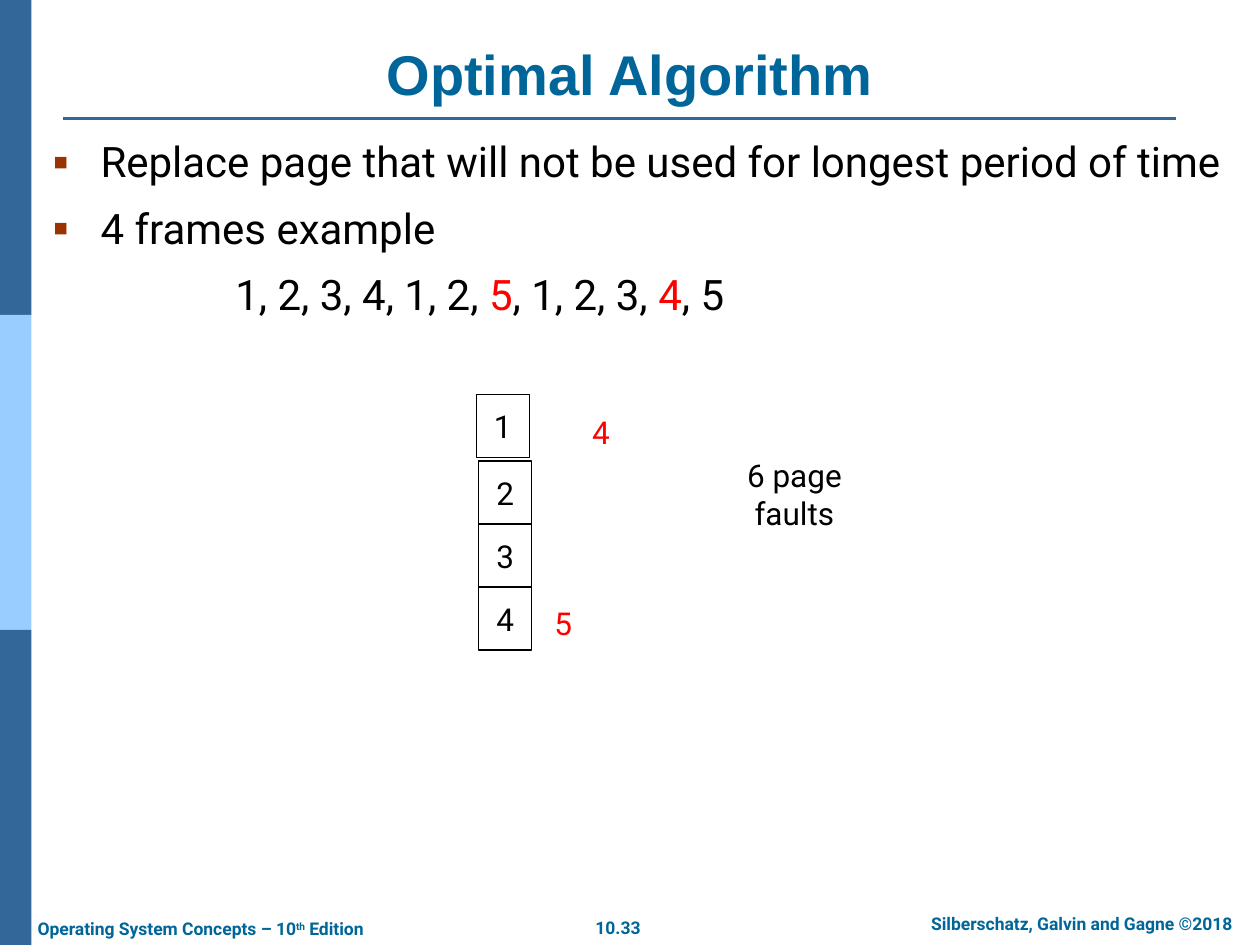
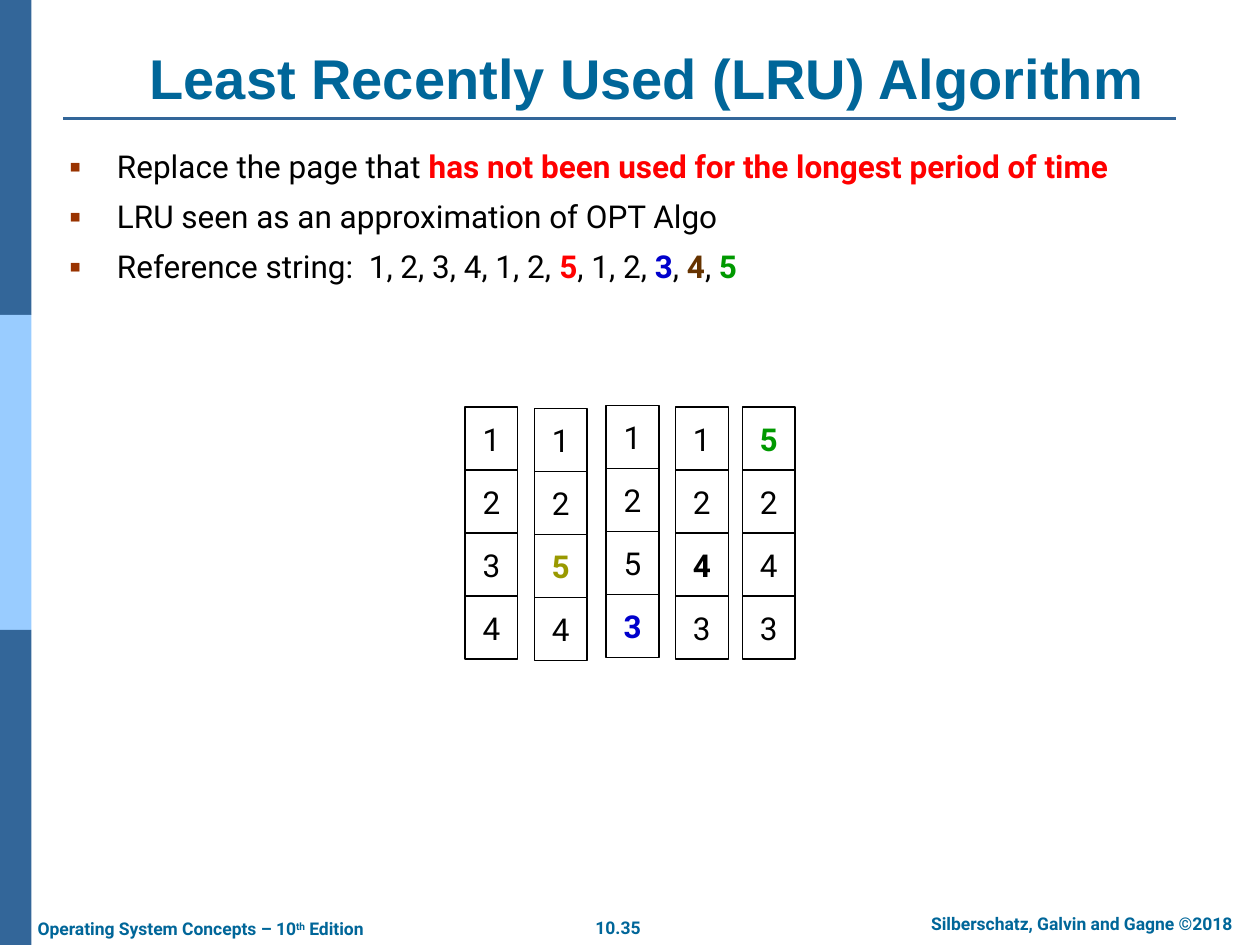
from lxml import etree
from pptx import Presentation
from pptx.dml.color import RGBColor
from pptx.enum.shapes import MSO_CONNECTOR, MSO_SHAPE
from pptx.enum.text import MSO_ANCHOR, PP_ALIGN
from pptx.oxml.ns import qn
from pptx.util import Inches, Pt

LEFT, CENTER = PP_ALIGN.LEFT, PP_ALIGN.CENTER
TOP, MIDDLE, BOTTOM = MSO_ANCHOR.TOP, MSO_ANCHOR.MIDDLE, MSO_ANCHOR.BOTTOM
RECTANGLE, STRAIGHT = MSO_SHAPE.RECTANGLE, MSO_CONNECTOR.STRAIGHT

TITLE_FONT, BODY_FONT = "Arial", "Roboto"
BLACK, WHITE, RED = "000000", "FFFFFF", "FF0000"
TEAL, DARK_BLUE, LIGHT_BLUE = "006699", "336699", "99CCFF"
BLUE, BROWN, GREEN, OLIVE, RUST = "0000CC", "663300", "009900", "999900", "993300"

FRAME_WIDTH, FRAME_HEIGHT = 0.42, 0.5
BAND_WIDTH, BAND_HEIGHT = 0.25, 2.5
HANGING = 0.38


def rgb(value):
    return RGBColor.from_string(value)


class Deck:
    """Holds the shared style and the slide being built."""

    def __init__(self):
        self.presentation = Presentation()
        self.presentation.slide_width = Inches(10)
        self.presentation.slide_height = Inches(7.5)
        self.slide = None

    def add_runs(self, paragraph, runs, size, color=BLACK, bold=False, font=BODY_FONT):
        """Each run is a text, or a tuple of text, colour and bold."""
        for item in runs:
            text, run_color, run_bold = (item, color, bold) if isinstance(item, str) else item
            run = paragraph.add_run()
            run.text = text
            run.font.name = font
            run.font.size = Pt(size)
            run.font.bold = run_bold
            run.font.color.rgb = rgb(run_color)

    def text_box(self, left, top, width, height, runs, size, align=CENTER,
                 anchor=TOP, wrap=True, **style):
        shape = self.slide.shapes.add_textbox(
            Inches(left), Inches(top), Inches(width), Inches(height))
        shape.text_frame.word_wrap = wrap
        shape.text_frame.vertical_anchor = anchor
        paragraph = shape.text_frame.paragraphs[0]
        paragraph.alignment = align
        self.add_runs(paragraph, runs, size, **style)
        return shape

    def rectangle(self, left, top, width, height, fill, line=None):
        shape = self.slide.shapes.add_shape(
            RECTANGLE, Inches(left), Inches(top), Inches(width), Inches(height))
        shape.shadow.inherit = False
        shape.fill.solid()
        shape.fill.fore_color.rgb = rgb(fill)
        if line:
            shape.line.color.rgb = rgb(line)
            shape.line.width = Pt(0.75)
        else:
            shape.line.fill.background()
        return shape

    def title_rule(self):
        line = self.slide.shapes.add_connector(
            STRAIGHT, Inches(0.5), Inches(0.94), Inches(9.33), Inches(0.94))
        line.line.color.rgb = rgb(DARK_BLUE)
        line.line.width = Pt(1.5)
        etree.SubElement(line._element.spPr, qn("a:effectLst"))

    def footer(self, number):
        style = {"size": 10, "color": TEAL, "bold": True}
        self.text_box(4.62, 7.23, 0.57, 0.27, [number], wrap=False, **style)
        self.text_box(7.1, 7.2, 2.97, 0.27, ["Silberschatz, Galvin and Gagne ©2018"], **style)
        edition = self.text_box(
            0.2, 7.24, 2.99, 0.27,
            ["Operating System Concepts – 10", "th", " Edition"], align=LEFT, **style)
        ordinal = edition.text_frame.paragraphs[0].runs[1]
        ordinal.font._element.set("baseline", "30000")

    def new_slide(self, number, title, title_box):
        self.slide = self.presentation.slides.add_slide(self.presentation.slide_layouts[6])
        for index, color in enumerate((DARK_BLUE, LIGHT_BLUE, DARK_BLUE)):
            self.rectangle(0, index * BAND_HEIGHT, BAND_WIDTH, BAND_HEIGHT, color)
        self.title_rule()
        self.footer(number)
        self.text_box(*title_box, [title], 32, anchor=BOTTOM,
                      color=TEAL, bold=True, font=TITLE_FONT)

    def add_bullet(self, paragraph):
        properties = paragraph._p.get_or_add_pPr()
        properties.set("marL", str(Inches(HANGING)))
        properties.set("indent", str(-Inches(HANGING)))
        color = etree.SubElement(properties, qn("a:buClr"))
        etree.SubElement(color, qn("a:srgbClr"), val=RUST)
        etree.SubElement(properties, qn("a:buSzPct"), val="110000")
        etree.SubElement(properties, qn("a:buFont"), typeface=TITLE_FONT)
        etree.SubElement(properties, qn("a:buChar"), char="▪")

    def body(self, left, top, width, height, lines, size, gap):
        """Each line is a list of runs and its indent, or None for a bullet."""
        shape = self.slide.shapes.add_textbox(
            Inches(left), Inches(top), Inches(width), Inches(height))
        frame = shape.text_frame
        frame.word_wrap = True
        for index, (runs, indent) in enumerate(lines):
            paragraph = frame.add_paragraph() if index else frame.paragraphs[0]
            if indent is None:
                self.add_bullet(paragraph)
            else:
                paragraph._p.get_or_add_pPr().set("marL", str(Inches(indent)))
            if index:
                paragraph.space_before = Pt(gap)
            self.add_runs(paragraph, runs, size)

    def frame_column(self, left, top, pages):
        """Stack one box for each memory frame."""
        for index, page in enumerate(pages):
            shape = self.rectangle(left, top + index * FRAME_HEIGHT,
                                   FRAME_WIDTH, FRAME_HEIGHT, WHITE, BLACK)
            shape.text_frame.word_wrap = False
            shape.text_frame.vertical_anchor = MIDDLE
            paragraph = shape.text_frame.paragraphs[0]
            paragraph.alignment = CENTER
            self.add_runs(paragraph, [page], 18)


def optimal_slide(deck):
    deck.new_slide("10.33", "Optimal Algorithm", (0.5, 0.27, 9, 0.63))
    reference = ["1, 2, 3, 4, 1, 2, ", ("5", RED, False), ", 1, 2, 3, ",
                 ("4", RED, False), ", 5"]
    deck.body(0.32, 1.03, 9.56, 1.83, [
        (["Replace page that will not be used for longest period of time"], None),
        (["4 frames example"], None),
        (reference, 1.45),
    ], size=24, gap=9)

    # Frames, replacements and the fault count
    deck.frame_column(3.78, 3.13, ["1"])
    deck.frame_column(3.8, 3.66, ["2", "3", "4"])
    for left, top, page in ((4.6, 3.23, "4"), (4.3, 4.74, "5")):
        deck.text_box(left, top, 0.34, 0.4, [page], 18, anchor=MIDDLE, wrap=False, color=RED)
    deck.text_box(5.49, 3.72, 1.63, 0.4, ["6 page faults"], 18, anchor=MIDDLE)


def lru_slide(deck):
    deck.new_slide("10.35", "Least Recently Used (LRU) Algorithm", (0.27, 0.3, 9.73, 0.63))
    reference = ["Reference string:  1, 2, 3, 4, 1, 2, ", ("5", RED, True), ", 1, 2, ",
                 ("3", BLUE, True), ", ", ("4", BROWN, True), ", ", ("5", GREEN, True)]
    deck.body(0.45, 1.12, 9.35, 2.36, [
        (["Replace the page that ",
          ("has not been used for the longest period of time", RED, True)], None),
        (["LRU seen as an approximation of OPT Algo"], None),
        (reference, None),
    ], size=18, gap=7)

    # Frame contents after each fault, with the new page in bold
    for left, top, pages in (
        (3.69, 3.23, ["1", "2", "3", "4"]),
        (4.24, 3.24, ["1", "2", ("5", OLIVE, True), "4"]),
        (4.81, 3.22, ["1", "2", "5", ("3", BLUE, True)]),
        (5.36, 3.23, ["1", "2", ("4", BLACK, True), "3"]),
        (5.89, 3.23, [("5", GREEN, True), "2", "4", "3"]),
    ):
        deck.frame_column(left, top, pages)


def main():
    deck = Deck()
    optimal_slide(deck)
    lru_slide(deck)
    deck.presentation.save("out.pptx")


if __name__ == "__main__":
    main()
